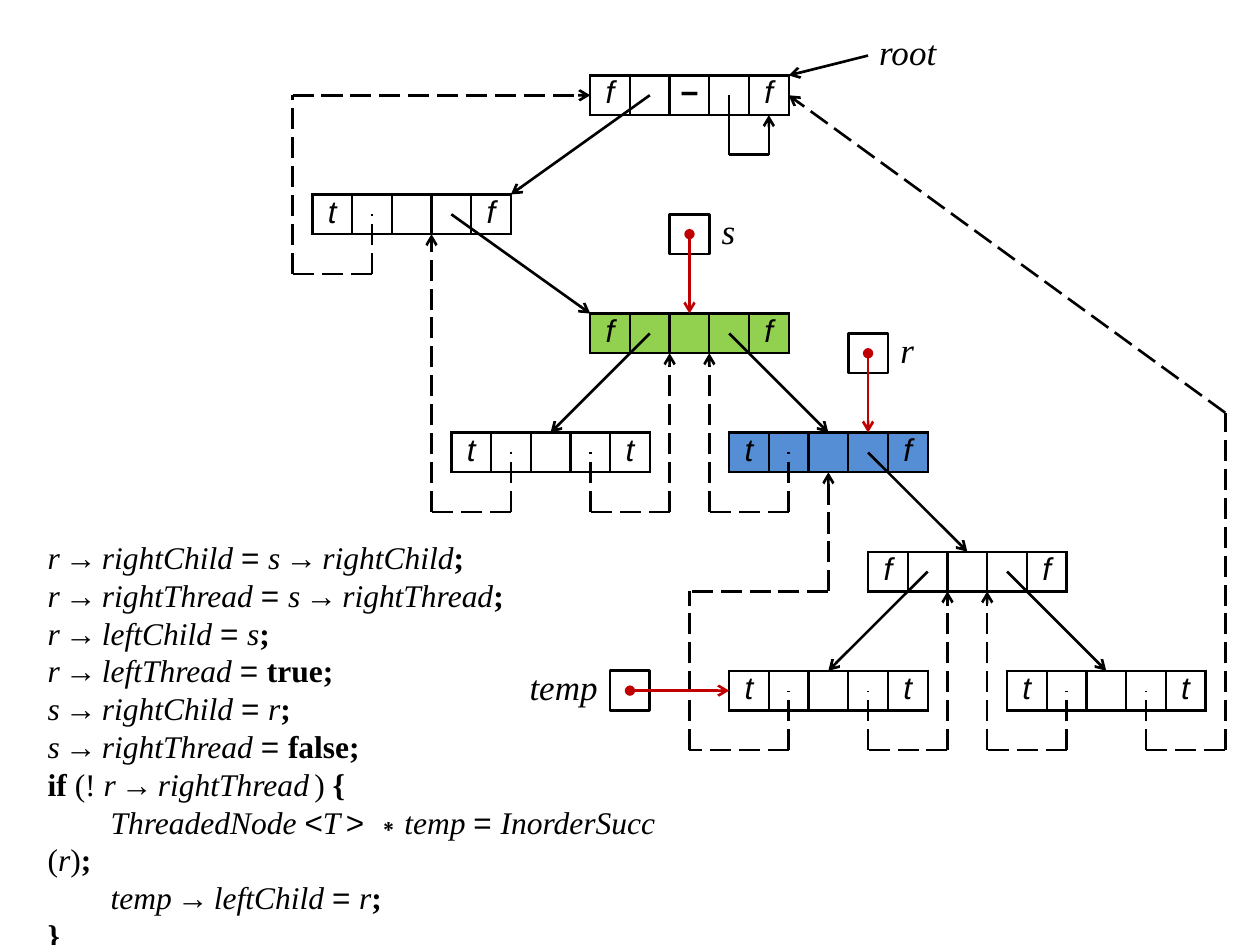
import pptx
import pptx.dml.color
import pptx.enum.dml
import pptx.enum.shapes
import pptx.enum.text
import pptx.oxml
import pptx.oxml.ns
import pptx.util

Pt = pptx.util.Pt
ALIGN = pptx.enum.text.PP_ALIGN
ANCHOR = pptx.enum.text.MSO_ANCHOR
DASH = pptx.enum.dml.MSO_LINE

COLORS = {"ink": "000000", "paper": "FFFFFF", "pointer": "C00000",
          "s_node": "92D050", "r_node": "558ED5"}
SERIF, SANS = "Times New Roman", "Arial"

# The diagram lies on a grid of half cells that starts at the root node
HALF = 11.34
LEFT, TOP = 337.3, 43.1
LINE_WIDTH = 1.5

# Nodes: column, row, left flag, right flag, data, fill
NODES = [
    (0, 0, "f", "f", "−", None),
    (-14, 6, "t", "f", "", None),
    (0, 12, "f", "f", "", "s_node"),
    (-7, 18, "t", "t", "", None),
    (7, 18, "t", "f", "", "r_node"),
    (14, 24, "f", "f", "", None),
    (7, 30, "t", "t", "", None),
    (21, 30, "t", "t", "", None),
]
LINKS = [
    ((14, -1), (10, 0)), ((3, 1), (-4, 6)), ((-7, 7), (0, 12)),
    ((3, 13), (-2, 18)), ((7, 13), (12, 18)), ((14, 19), (19, 24)),
    ((17, 25), (12, 30)), ((21, 25), (26, 30)),
]
ROOT_LOOP = [(7, 1), (7, 4), (9, 4), (9, 2)]
THREADS = [
    [(-11, 7), (-11, 10), (-15, 10), (-15, 1), (0, 1)],
    [(-4, 19), (-4, 22), (-8, 22), (-8, 8)],
    [(0, 19), (0, 22), (4, 22), (4, 14)],
    [(10, 19), (10, 22), (6, 22), (6, 14)],
    [(10, 31), (10, 34), (5, 34), (5, 26), (12, 26), (12, 20)],
    [(14, 31), (14, 34), (18, 34), (18, 26)],
    [(24, 31), (24, 34), (20, 34), (20, 26)],
    [(28, 31), (28, 34), (32, 34), (32, 17), (10, 1)],
]
# Pointer variables: box corner, arrow target
POINTERS = [((4, 7), (5, 12)), ((13, 13), (14, 18)), ((1, 30), (7, 31))]
# Labels: text, column, row, width, alignment, side inset
LABELS = [
    ("root", 14, -2, 4, ALIGN.CENTER, 5.76),
    ("s", 6, 7, 2, ALIGN.LEFT, 7.2),
    ("r", 15, 13, 2, ALIGN.LEFT, 7.2),
    ("temp", -4, 30, 5, ALIGN.RIGHT, 7.2),
]


def rgb(name):
    return pptx.dml.color.RGBColor.from_string(COLORS[name])


def grid(column, row):
    return Pt(LEFT + column * HALF), Pt(TOP + row * HALF)


def set_font(font, name, size, italic=None, bold=None):
    font.name, font.size = name, Pt(size)
    font.italic, font.bold = italic, bold
    font.color.rgb = rgb("ink")


def set_insets(holder, left, top, right, bottom):
    holder.margin_left, holder.margin_top = Pt(left), Pt(top)
    holder.margin_right, holder.margin_bottom = Pt(right), Pt(bottom)


def add_borders(cell):
    properties = cell._tc.get_or_add_tcPr()
    for side in "LRTB":
        properties.append(pptx.oxml.parse_xml(
            f'<a:ln{side} {pptx.oxml.ns.nsdecls("a")} w="{Pt(LINE_WIDTH)}">'
            f'<a:solidFill><a:srgbClr val="{COLORS["ink"]}"/></a:solidFill>'
            f'</a:ln{side}>'))


def add_node(slide, column, row, left_flag, right_flag, data, fill):
    frame = slide.shapes.add_table(1, 5, *grid(column, row),
                                   Pt(10 * HALF), Pt(2 * HALF))
    table = frame.table
    table.first_row = table.horz_banding = False
    fields = [left_flag, "", data, "", right_flag]
    for index, text in enumerate(fields):
        table.columns[index].width = Pt(2 * HALF)
        cell = table.cell(0, index)
        is_data = index == 2
        inset = 5.76 if is_data else 7.2
        set_insets(cell, inset, 0, inset, 0)
        add_borders(cell)
        if fill:
            cell.fill.solid()
            cell.fill.fore_color.rgb = rgb(fill)
        else:
            cell.fill.background()
        paragraph = cell.text_frame.paragraphs[0]
        paragraph.text = text
        paragraph.alignment = ALIGN.CENTER
        set_font(paragraph.font, SANS, 18, italic=not is_data, bold=is_data)
        if is_data:
            cell.vertical_anchor = ANCHOR.MIDDLE
            paragraph.line_spacing = Pt(18)


def add_line(slide, start, end, color="ink", dash=None, head=None, tail=None):
    line = slide.shapes.add_connector(
        pptx.enum.shapes.MSO_CONNECTOR.STRAIGHT, *grid(*start), *grid(*end))
    line.line.color.rgb = rgb(color)
    line.line.width = Pt(LINE_WIDTH)
    if dash:
        line.line.dash_style = dash
    outline = line.line._get_or_add_ln()
    for tag, kind in (("headEnd", head), ("tailEnd", tail)):
        if kind:
            outline.append(pptx.oxml.parse_xml(
                f'<a:{tag} {pptx.oxml.ns.nsdecls("a")} type="{kind}"/>'))
    line._element.spPr.append(pptx.oxml.parse_xml(
        f'<a:effectLst {pptx.oxml.ns.nsdecls("a")}/>'))


def add_route(slide, points, dash=None):
    *legs, last_leg = zip(points, points[1:])
    for leg in legs:
        # Dashes run upwards and to the left on every leg but the last
        start, end = sorted(leg, key=lambda p: (p[1], p[0]), reverse=True)
        add_line(slide, start, end, dash=dash)
    add_line(slide, *last_leg, dash=dash, tail="arrow")


def add_pointer(slide, corner, target):
    box = slide.shapes.add_shape(pptx.enum.shapes.MSO_SHAPE.RECTANGLE,
                                 *grid(*corner), Pt(2 * HALF), Pt(2 * HALF))
    box.shadow.inherit = False
    box.fill.solid()
    box.fill.fore_color.rgb = rgb("paper")
    box.line.color.rgb = rgb("ink")
    box.line.width = Pt(LINE_WIDTH)
    center = (corner[0] + 1, corner[1] + 1)
    add_line(slide, center, target, "pointer", head="oval", tail="arrow")


def add_label(slide, text, column, row, width, alignment, inset):
    label = slide.shapes.add_textbox(*grid(column, row),
                                     Pt(width * HALF), Pt(2 * HALF))
    frame = label.text_frame
    frame.word_wrap = True
    frame.vertical_anchor = ANCHOR.BOTTOM
    set_insets(frame, inset, 0, inset, 1.44)
    paragraph = frame.paragraphs[0]
    paragraph.text = text
    paragraph.alignment = alignment
    set_font(paragraph.font, SERIF, 20, italic=True)


def member(variable, field):
    return [(variable, "is"), ("→", "s"), (field, "i")]


def assign(variable, field, *value):
    return member(variable, field + " ") + [("= ", "a"), *value]


def code_lines():
    # Run styles: i italic, b bold, a sans serif, s spaced letters
    end = (";", "b")
    return [
        assign("r", "rightChild", *member("s", "rightChild"), end),
        assign("r", "rightThread", *member("s", "rightThread"), end),
        assign("r", "leftChild", ("s", "i"), end),
        assign("r", "leftThread", ("true;", "b")),
        assign("s", "rightChild", ("r", "i"), end),
        assign("s", "rightThread", ("false;", "b")),
        [("if ", "b"), ("(! ", ""), *member("r", "rightThrea"),
         ("d", "is"), (") ", ""), ("{", "b")],
        [("\t", ""), ("ThreadedNode ", "i"), ("<", "a"), ("T", "is"),
         ("> ∗", "a"), ("temp ", "i"), ("= ", "a"), ("InorderSucc", "i"),
         (" (", ""), ("r", "i"), (")", ""), end],
        [("\t", ""), ("tem", "i"), *assign("p", "leftChild", ("r", "i"), end)],
        [("}", "b")],
    ]


def add_code(slide):
    code = slide.shapes.add_textbox(Pt(20.16), Pt(303.84), Pt(374.4), Pt(215.28))
    frame = code.text_frame
    frame.word_wrap = True
    set_insets(frame, 7.2, 3.6, 2.88, 3.6)
    for index, runs in enumerate(code_lines()):
        paragraph = frame.add_paragraph() if index else frame.paragraphs[0]
        paragraph.line_spacing = Pt(21.6)
        set_font(paragraph.font, SERIF, 18)
        for text, style in runs:
            run = paragraph.add_run()
            run.text = text
            run.font.italic, run.font.bold = "i" in style, "b" in style
            if "a" in style:
                run.font.name = SANS
            if "s" in style:
                run.font._element.set("spc", "300")


def main():
    deck = pptx.Presentation()
    deck.slide_width, deck.slide_height = Pt(720), Pt(540)
    slide = deck.slides.add_slide(deck.slide_layouts[6])
    add_code(slide)
    for node in NODES:
        add_node(slide, *node)
    for start, end in LINKS:
        add_line(slide, start, end, tail="arrow")
    add_route(slide, ROOT_LOOP)
    for thread in THREADS:
        add_route(slide, thread, DASH.LONG_DASH)
    for corner, target in POINTERS:
        add_pointer(slide, corner, target)
    for label in LABELS:
        add_label(slide, *label)
    deck.save("out.pptx")


main()
